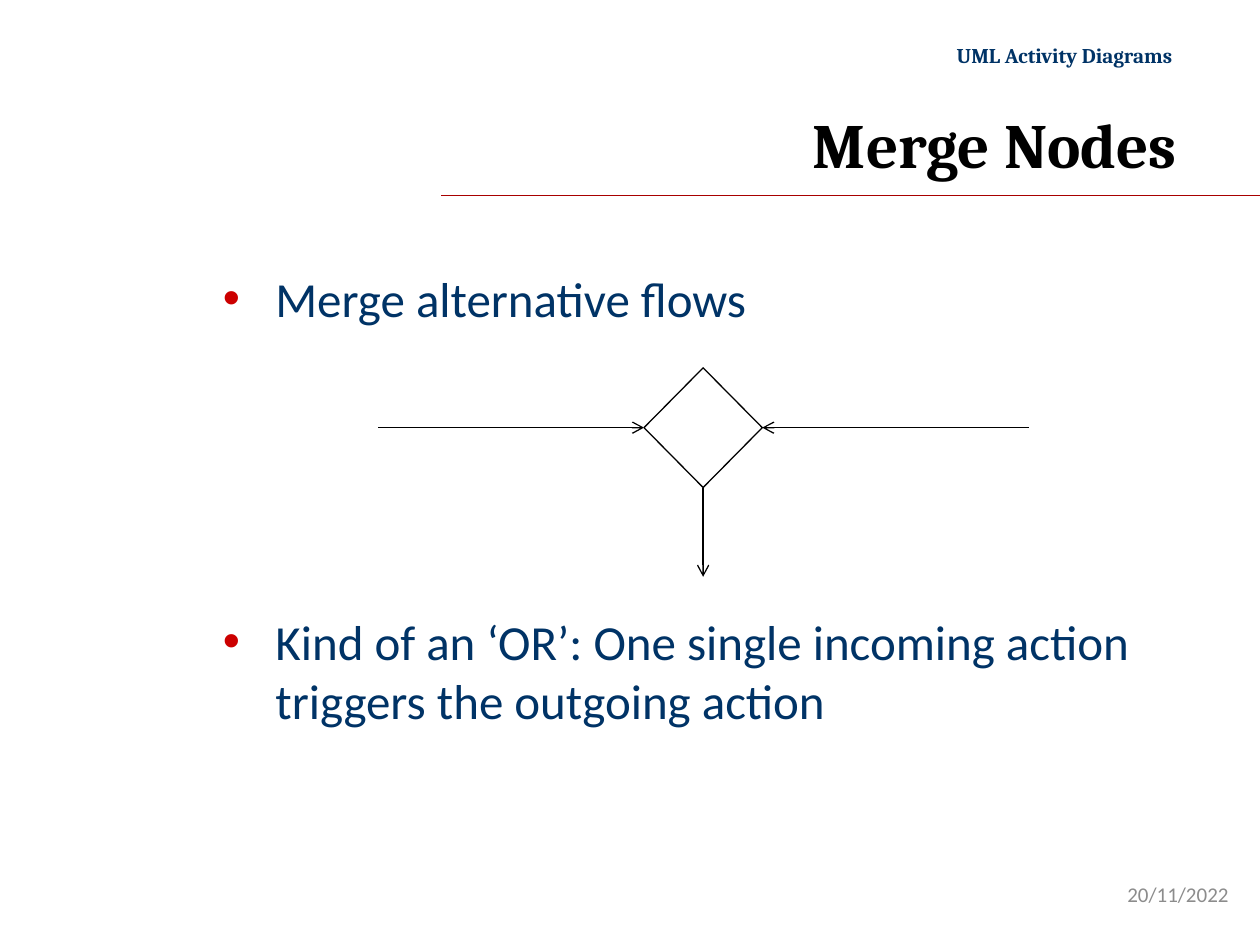
from dataclasses import dataclass

from lxml import etree
from pptx import Presentation
from pptx.dml.color import RGBColor
from pptx.enum.shapes import MSO_CONNECTOR, MSO_SHAPE
from pptx.enum.text import MSO_ANCHOR, MSO_AUTO_SIZE, PP_ALIGN
from pptx.oxml.ns import qn
from pptx.util import Pt

STRAIGHT = MSO_CONNECTOR.STRAIGHT
DECISION = MSO_SHAPE.FLOWCHART_DECISION
TOP, MIDDLE = MSO_ANCHOR.TOP, MSO_ANCHOR.MIDDLE
LEFT, RIGHT = PP_ALIGN.LEFT, PP_ALIGN.RIGHT
NO_FIT = MSO_AUTO_SIZE.NONE
SITE_LEFT, SITE_BOTTOM, SITE_RIGHT = 1, 2, 3

COLORS = {
    "rule": "A80000",
    "bullet": "CC0000",
    "navy": "003366",
    "black": "000000",
    "gray": "8C8C8C",
}


@dataclass
class Box:
    left: float
    top: float
    width: float
    height: float


@dataclass
class Flow:
    x: float
    y: float
    site: int
    incoming: bool


@dataclass
class Bullet:
    text: str
    space_before: float


NODE = Box(368, 210.2, 67.6, 68.4)
MID_X = NODE.left + NODE.width / 2
MID_Y = NODE.top + NODE.height / 2
FLOWS = [
    Flow(216, MID_Y, SITE_LEFT, True),
    Flow(588, MID_Y, SITE_RIGHT, True),
    Flow(MID_X, 329.6, SITE_BOTTOM, False),
]
BULLETS = [
    Bullet("Merge alternative flows", 0),
    Bullet("Kind of an ‘OR’: One single incoming action triggers the outgoing action", 162.4),
]


def rgb(name: str) -> RGBColor:
    return RGBColor.from_string(COLORS[name])


def place(sp, box: Box) -> None:
    sp.left, sp.top = Pt(box.left), Pt(box.top)
    sp.width, sp.height = Pt(box.width), Pt(box.height)


def setup_frame(tf, anchor=TOP, wrap: bool = True) -> None:
    tf.auto_size = NO_FIT
    tf.word_wrap = wrap
    tf.vertical_anchor = anchor


def write(p, text: str, *, size: float, font: str = "Calibri", color: str = "navy",
          bold: bool = False, align=LEFT) -> None:
    p.alignment = align
    r = p.add_run()
    r.text = text
    r.font.name = font
    r.font.size = Pt(size)
    r.font.bold = bold
    r.font.color.rgb = rgb(color)


def add_text(s, box: Box, text: str, *, anchor=TOP, wrap: bool = True, **fmt) -> None:
    sp = s.shapes.add_textbox(Pt(0), Pt(0), Pt(0), Pt(0))
    place(sp, box)
    setup_frame(sp.text_frame, anchor, wrap)
    write(sp.text_frame.paragraphs[0], text, **fmt)


def add_bullets(sp, bullets: list[Bullet]) -> None:
    tf = sp.text_frame
    setup_frame(tf)
    for i, bullet in enumerate(bullets):
        p = tf.add_paragraph() if i else tf.paragraphs[0]
        write(p, bullet.text, size=28)
        p.space_before = Pt(bullet.space_before)
        pPr = p._p.get_or_add_pPr()
        pPr.set("marL", str(Pt(30)))
        pPr.set("indent", str(Pt(-30)))
        color = etree.SubElement(pPr, qn("a:buClr"))
        etree.SubElement(color, qn("a:srgbClr"), val=COLORS["bullet"])
        etree.SubElement(pPr, qn("a:buFont"), typeface="Arial")
        etree.SubElement(pPr, qn("a:buChar"), char="•")


def add_line(s, x1: float, y1: float, x2: float, y2: float, color: str, arrow: bool = False):
    line = s.shapes.add_connector(STRAIGHT, Pt(x1), Pt(y1), Pt(x2), Pt(y2))
    line.line.color.rgb = rgb(color)
    line.line.width = Pt(0.75)
    if arrow:
        etree.SubElement(line.line._get_or_add_ln(), qn("a:tailEnd"), type="arrow")
    etree.SubElement(line._element.spPr, qn("a:effectLst"))
    return line


def add_node(s, box: Box):
    sp = s.shapes.add_shape(DECISION, Pt(0), Pt(0), Pt(0), Pt(0))
    place(sp, box)
    sp.shadow.inherit = False
    sp.fill.background()
    sp.line.color.rgb = rgb("black")
    sp.line.width = Pt(0.75)
    return sp


def add_flow(s, node, flow: Flow) -> None:
    ends = (flow.x, flow.y, MID_X, MID_Y) if flow.incoming else (MID_X, MID_Y, flow.x, flow.y)
    line = add_line(s, *ends, "black", arrow=True)
    if flow.incoming:
        line.end_connect(node, flow.site)
    else:
        line.begin_connect(node, flow.site)


def main() -> None:
    prs = Presentation()
    prs.slide_width, prs.slide_height = Pt(720), Pt(540)
    s = prs.slides.add_slide(prs.slide_layouts[1])

    title, body = s.placeholders
    place(title, Box(127.4, 54.7, 552.3, 54))
    setup_frame(title.text_frame, MIDDLE)
    write(title.text_frame.paragraphs[0], "Merge Nodes", size=36, font="Cambria",
          color="black", bold=True, align=RIGHT)
    place(body, Box(120.2, 149.8, 552.3, 120.2))
    add_bullets(body, BULLETS)

    add_line(s, 252, 111.6, 720, 111.6, "rule")
    add_text(s, Box(536.4, 20.9, 143.3, 21.6), "UML Activity Diagrams ", wrap=False,
             size=12, font="Cambria", bold=True, align=RIGHT)
    add_text(s, Box(541.4, 496.8, 167.8, 28.8), "20/11/2022", anchor=MIDDLE,
             size=12, color="gray", align=RIGHT)

    node = add_node(s, NODE)
    for flow in FLOWS:
        add_flow(s, node, flow)

    prs.save("out.pptx")


if __name__ == "__main__":
    main()
